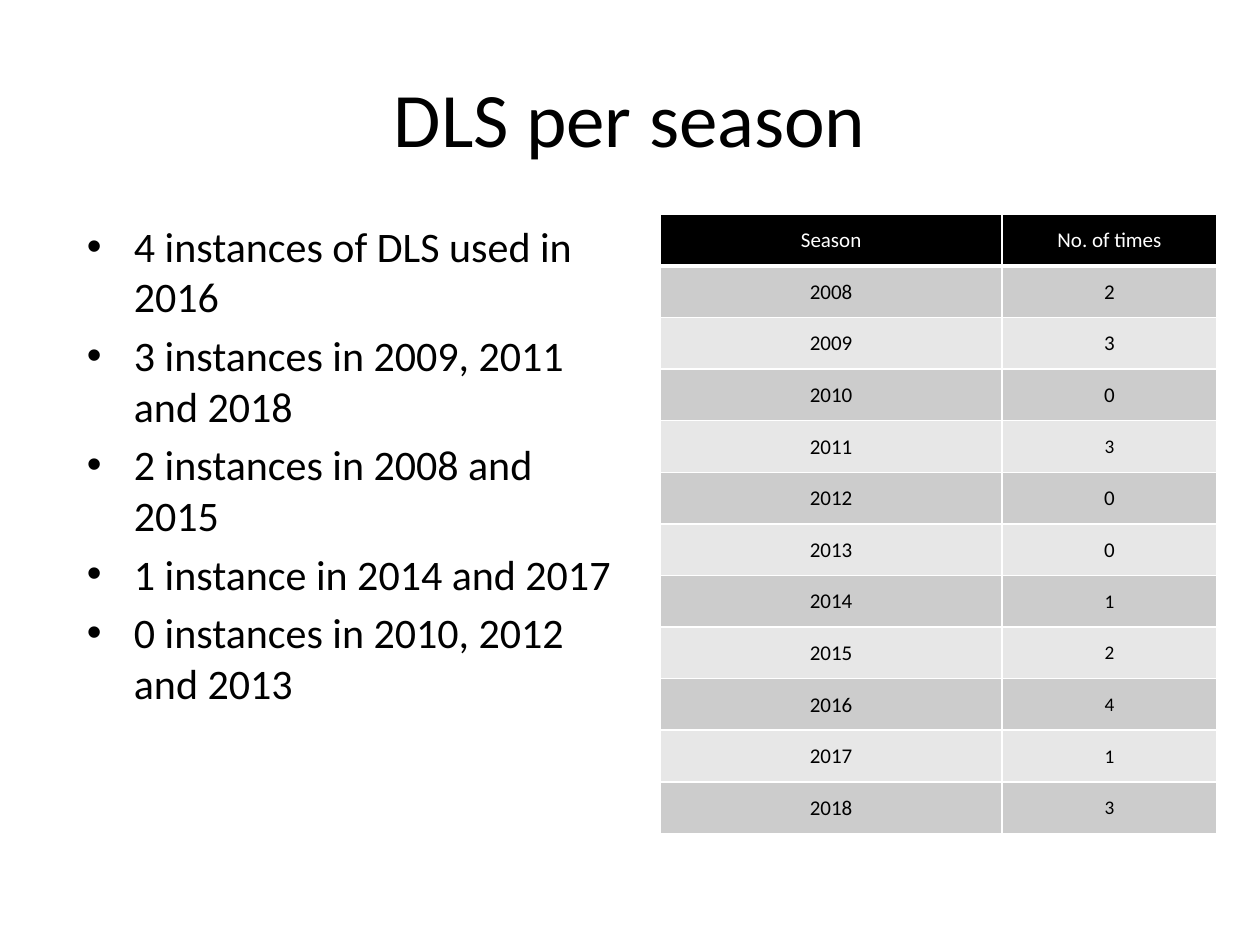
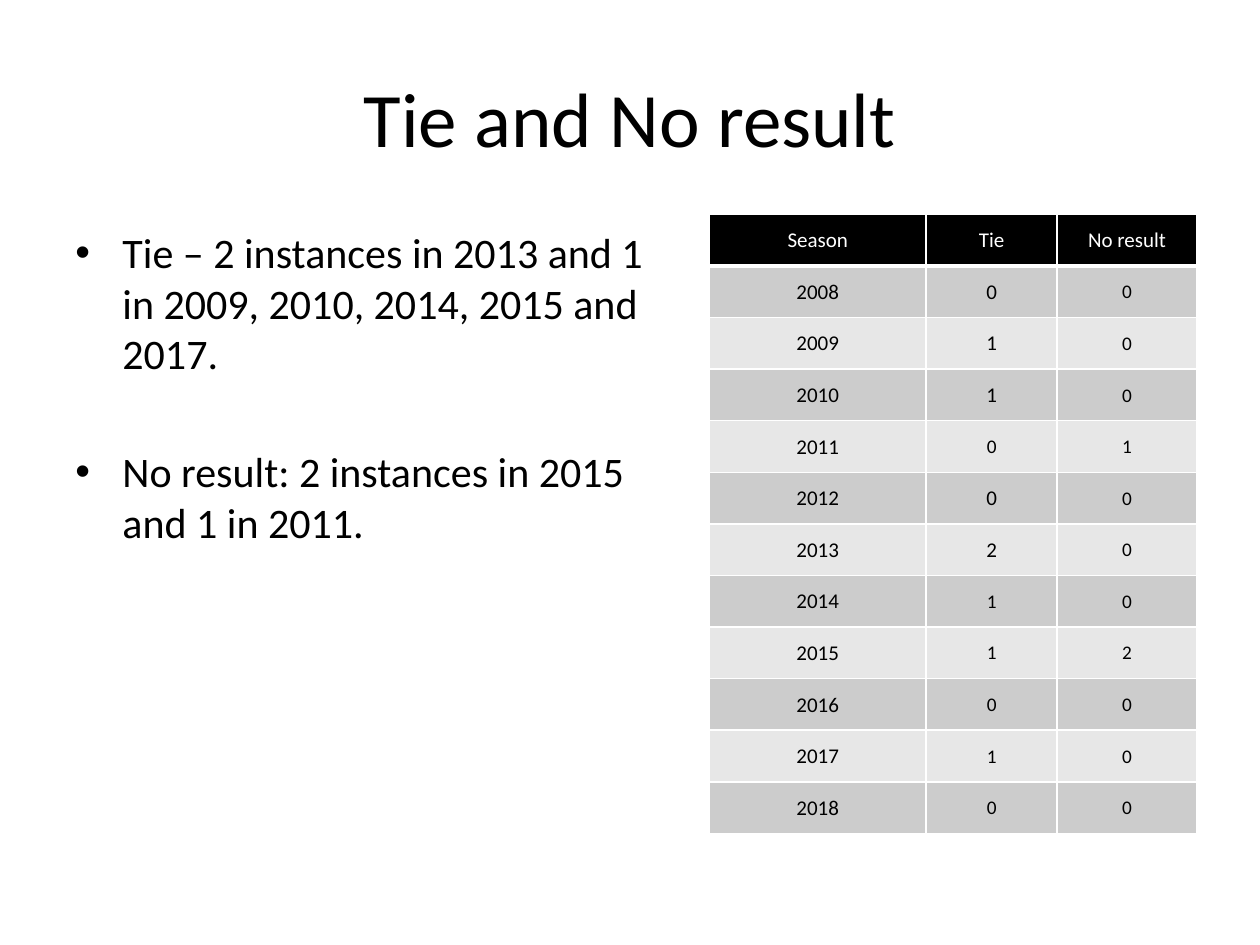
from lxml.etree import SubElement
from pptx import Presentation
from pptx.dml.color import RGBColor
from pptx.enum.text import MSO_ANCHOR as Anchor, PP_ALIGN as Align
from pptx.oxml.ns import qn
from pptx.util import Cm, Pt

COLORS = {
    "text": "000000",
    "header": "000000",
    "header_text": "FFFFFF",
    "grid": "FFFFFF",
    "band_dark": "CCCCCC",
    "band_light": "E7E7E7",
}
FONT = "Calibri"
TITLE_SIZE, BODY_SIZE, CELL_SIZE, SMALL_SIZE = 44, 24, 12, 11
BULLET_INDENT = Cm(0.95)
BULLET_GAP = 4.8
TABLE_TOP, ROW_HEIGHT = 4.32, 1.04
BODY_HEIGHT = 12.57
GRID_WIDTH, HEADER_RULE_WIDTH = 1, 3

SEASONS = range(2008, 2019)
SMALL_SEASONS = {2011, *range(2014, 2019)}
DLS_COUNTS = [2, 3, 0, 3, 0, 0, 1, 2, 4, 1, 3]
TIE_COUNTS = [0, 1, 1, 0, 0, 2, 1, 1, 0, 1, 0]
NO_RESULT_COUNTS = [0, 0, 0, 1, 0, 0, 0, 2, 0, 0, 0]


def write(para, text, size=BODY_SIZE, color="text", align=Align.LEFT, before=0):
    """Put formatted text into a paragraph."""
    para.alignment = align
    para.space_before = Pt(before)
    span = para.add_run()
    span.text = text
    span.font.name = FONT
    span.font.size = Pt(size)
    span.font.bold = False
    span.font.color.rgb = RGBColor.from_string(COLORS[color])


def add_bullet(para):
    """Give a paragraph a round bullet and a hanging indent."""
    props = para._p.get_or_add_pPr()
    props.set("marL", str(BULLET_INDENT))
    props.set("indent", str(-BULLET_INDENT))
    SubElement(props, qn("a:buFont"), typeface="Arial")
    SubElement(props, qn("a:buChar"), char="•")


def add_borders(cell, top, bottom):
    """Draw the grid lines of a cell, with widths in points."""
    props = cell._tc.get_or_add_tcPr()
    widths = {"L": GRID_WIDTH, "R": GRID_WIDTH, "T": top, "B": bottom}
    for side, width in widths.items():
        line = SubElement(props, qn(f"a:ln{side}"), w=str(Pt(width)))
        fill = SubElement(line, qn("a:solidFill"))
        SubElement(fill, qn("a:srgbClr"), val=COLORS["grid"])


class SeasonDeck:
    """Holds the presentation, its style and the current page."""

    def __init__(self):
        """Start an empty 4:3 deck."""
        self.deck = Presentation()
        self.deck.slide_width, self.deck.slide_height = Cm(25.4), Cm(19.05)
        self.page = None

    def add_page(self, title):
        """Start a page with its centred title."""
        self.page = self.deck.slides.add_slide(self.deck.slide_layouts[6])
        frame = self.add_box(1.27, 0.76, 22.86, 3.18)
        frame.vertical_anchor = Anchor.MIDDLE
        write(frame.paragraphs[0], title, size=TITLE_SIZE, align=Align.CENTER)

    def add_box(self, left, top, width, height):
        """Add a wrapping text box and return its text frame."""
        box = self.page.shapes.add_textbox(Cm(left), Cm(top), Cm(width), Cm(height))
        box.text_frame.word_wrap = True
        return box.text_frame

    def add_bullets(self, left, top, width, items, gap=BULLET_GAP):
        """Add a bulleted list with a gap in points between its items."""
        frame = self.add_box(left, top, width, BODY_HEIGHT)
        for index, item in enumerate(items):
            para = frame.add_paragraph() if index else frame.paragraphs[0]
            write(para, item, before=gap if index else BULLET_GAP)
            add_bullet(para)

    def add_season_table(self, left, widths, columns, small_columns=()):
        """Add a banded table with one row per season."""
        headings = ["Season", *columns]
        rows = [headings, *zip(SEASONS, *columns.values())]
        table = self.page.shapes.add_table(
            len(rows), len(headings), Cm(left), Cm(TABLE_TOP),
            Cm(sum(widths)), Cm(ROW_HEIGHT * len(rows))).table
        for column, width in zip(table.columns, widths):
            column.width = Cm(width)
        for index, values in enumerate(rows):
            table.rows[index].height = Cm(ROW_HEIGHT)
            for place, value in enumerate(values):
                small = index > 0 and place > 0 and (
                    values[0] in SMALL_SEASONS or headings[place] in small_columns)
                self.fill_cell(table.cell(index, place), value, index,
                               SMALL_SIZE if small else CELL_SIZE)

    def fill_cell(self, cell, value, row, size):
        """Write and colour one table cell according to its row."""
        header = row == 0
        band = "header" if header else "band_dark" if row % 2 else "band_light"
        add_borders(cell,
                    top=HEADER_RULE_WIDTH if row == 1 else GRID_WIDTH,
                    bottom=HEADER_RULE_WIDTH if header else GRID_WIDTH)
        cell.fill.solid()
        cell.fill.fore_color.rgb = RGBColor.from_string(COLORS[band])
        cell.vertical_anchor = Anchor.MIDDLE
        cell.margin_left = cell.margin_right = cell.margin_top = Cm(0.02)
        cell.margin_bottom = 0
        write(cell.text_frame.paragraphs[0], str(value), size=size,
              color="header_text" if header else "text", align=Align.CENTER)


def build_dls(show):
    """Build the page on DLS use in each season."""
    show.add_page("DLS per season")
    show.add_season_table(13.31, [6.89, 4.33], {"No. of times": DLS_COUNTS})
    show.add_bullets(1.5, TABLE_TOP, 11.23, [
        "4 instances of DLS used in 2016",
        "3 instances in 2009, 2011 and 2018",
        "2 instances in 2008 and 2015",
        "1 instance in 2014 and 2017",
        "0 instances in 2010, 2012 and 2013",
    ])


def build_ties(show):
    """Build the page on ties and matches without a result."""
    show.add_page("Tie and No result")
    show.add_bullets(1.27, 4.45, 12.62, [
        "Tie – 2 instances in 2013 and 1 in 2009, 2010, 2014, 2015 and 2017.",
        "No result: 2 instances in 2015 and 1 in 2011.",
    ], gap=38.7)
    show.add_season_table(14.3, [4.37, 2.64, 2.82],
                          {"Tie": TIE_COUNTS, "No result": NO_RESULT_COUNTS},
                          small_columns=["No result"])


def main():
    """Build both pages and save the deck."""
    show = SeasonDeck()
    build_dls(show)
    build_ties(show)
    show.deck.save("out.pptx")


main()
